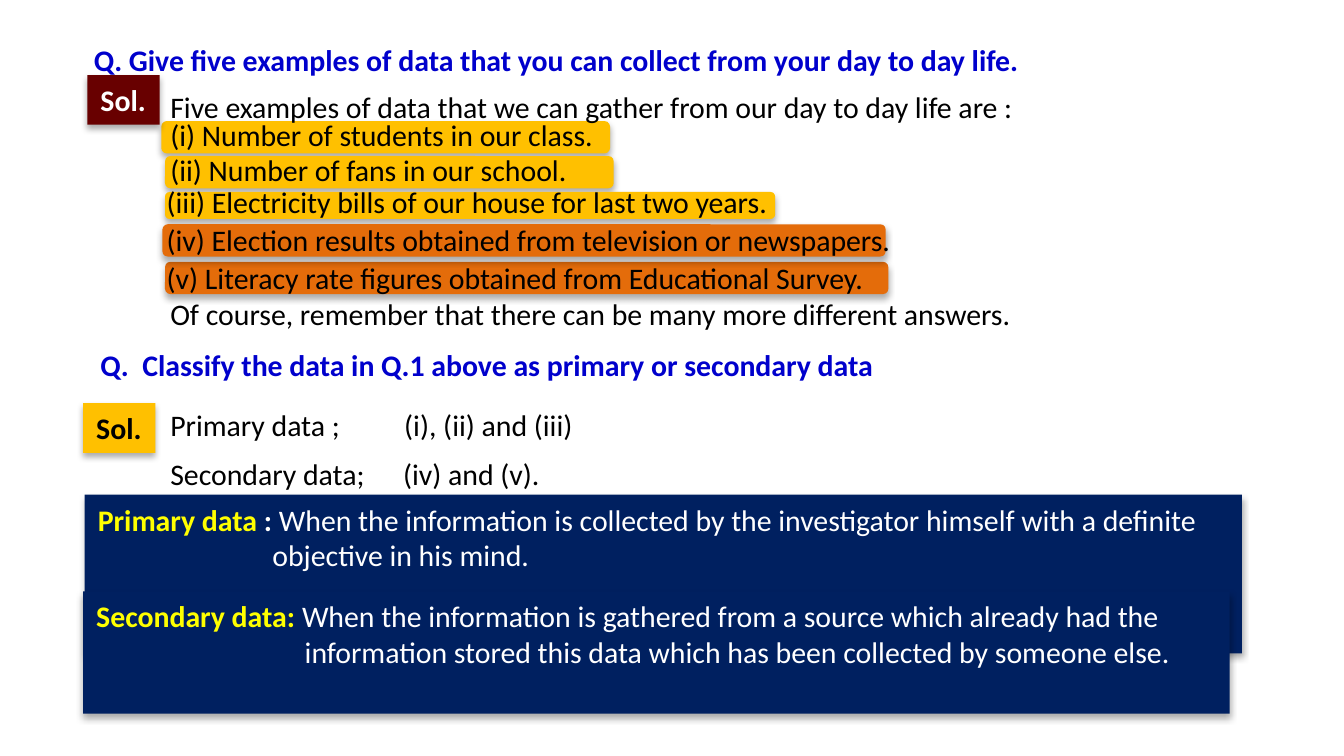
import lxml.etree
import pptx
import pptx.dml.color
import pptx.enum.shapes
import pptx.enum.text
import pptx.oxml
import pptx.oxml.ns
import pptx.util

Cm = pptx.util.Cm
RGBColor = pptx.dml.color.RGBColor
MSO_SHAPE = pptx.enum.shapes.MSO_SHAPE

BLACK = RGBColor(0x00, 0x00, 0x00)
WHITE = RGBColor(0xFF, 0xFF, 0xFF)
BLUE = RGBColor(0x00, 0x00, 0xCC)
MAROON = RGBColor(0x68, 0x00, 0x00)
AMBER = RGBColor(0xFF, 0xC0, 0x00)
ORANGE = RGBColor(0xE4, 0x6C, 0x0A)
NAVY = RGBColor(0x00, 0x20, 0x60)
YELLOW = RGBColor(0xFF, 0xFF, 0x00)

LINE_HEIGHT = 0.94
SHADOW = (
    f'<a:effectLst {pptx.oxml.ns.nsdecls("a")}>'
    '<a:outerShdw blurRad="44450" dist="27940" dir="5400000" algn="ctr" rotWithShape="0">'
    '<a:srgbClr val="000000"><a:alpha val="32000"/></a:srgbClr>'
    '</a:outerShdw></a:effectLst>'
)


def add_panel(kind, left, top, width, height, color):
    shape = slide.shapes.add_shape(kind, Cm(left), Cm(top), Cm(width), Cm(height))
    shape.fill.solid()
    shape.fill.fore_color.rgb = color
    shape.line.fill.background()
    shape._element.spPr.append(pptx.oxml.parse_xml(SHADOW))
    return shape


def write_lines(shape, lines, wrap=True):
    """Fill a shape; each line is a list of (text, color, bold) runs."""
    frame = shape.text_frame
    frame.word_wrap = wrap
    frame.auto_size = pptx.enum.text.MSO_AUTO_SIZE.NONE
    frame.vertical_anchor = pptx.enum.text.MSO_ANCHOR.TOP
    for index, runs in enumerate(lines):
        paragraph = frame.add_paragraph() if index else frame.paragraphs[0]
        paragraph.alignment = pptx.enum.text.PP_ALIGN.LEFT
        for text, color, bold in runs:
            run = paragraph.add_run()
            run.text = text
            run.font.name = "Calibri"
            run.font.size = pptx.util.Pt(16)
            run.font.bold = bold
            run.font.color.rgb = color


presentation = pptx.Presentation()
presentation.slide_width = Cm(25.4)
presentation.slide_height = Cm(14.29)
slide = presentation.slides.add_slide(presentation.slide_layouts[5])

# First question as the title
title = slide.shapes.title
title.left, title.top = Cm(1.52), Cm(0.66)
title.width, title.height = Cm(23.47), Cm(LINE_HEIGHT)
question = "Q. Give five examples of data that you can collect from your day to day life."
write_lines(title, [[(question, BLUE, True)]])

# Highlight bars behind the five examples
for left, top, width, height, color in [
    (3.05, 2.29, 8.48, 0.61, AMBER),
    (3.12, 2.95, 8.48, 0.61, AMBER),
    (3.12, 3.63, 11.53, 0.51, AMBER),
    (3.12, 4.95, 13.67, 0.61, ORANGE),
    (3.07, 4.24, 13.67, 0.61, ORANGE),
]:
    add_panel(MSO_SHAPE.ROUNDED_RECTANGLE, left, top, width, height, color)

# Solution labels
for left, top, fill, color in [(1.65, 1.42, MAROON, WHITE), (1.57, 7.62, AMBER, BLACK)]:
    label = add_panel(MSO_SHAPE.RECTANGLE, left, top, 1.37, LINE_HEIGHT, fill)
    write_lines(label, [[("Sol.", color, True)]], wrap=False)

# Answers and the second question
for text, left, top, width, color in [
    ("Five examples of data that we can gather from our day to day life are :", 2.97, 1.55, 22.2, BLACK),
    ("(i) Number of students in our class.", 2.97, 2.08, 8.56, BLACK),
    ("(ii) Number of fans in our school.", 2.97, 2.74, 8.56, BLACK),
    ("(iii) Electricity bills of our house for last two years.", 2.9, 3.35, 13.08, BLACK),
    ("(iv) Election results obtained from television or newspapers.", 2.9, 4.06, 16.23, BLACK),
    ("(v) Literacy rate figures obtained from Educational Survey.", 2.9, 4.78, 16.23, BLACK),
    ("Of course, remember that there can be many more different answers.", 2.97, 5.46, 19.05, BLACK),
    ("Q.  Classify the data in Q.1 above as primary or secondary data", 1.65, 6.43, 18.03, BLUE),
    ("Primary data ;", 2.97, 7.57, 4.39, BLACK),
    ("(i), (ii) and (iii)", 7.39, 7.57, 4.39, BLACK),
    ("Secondary data;", 2.97, 8.48, 4.39, BLACK),
    ("(iv) and (v).", 7.37, 8.48, 4.39, BLACK),
]:
    textbox = slide.shapes.add_textbox(Cm(left), Cm(top), Cm(width), Cm(LINE_HEIGHT))
    write_lines(textbox, [[(text, color, color == BLUE)]])

# Definitions, with the second line indented under the first
for left, top, width, height, indent, first_line, second_line in [
    (1.6, 9.35, 21.87, 3.0, 3.3,
     [("Primary data ", YELLOW, True), (": ", WHITE, True),
      ("When the information is collected by the investigator himself with a definite", WHITE, False)],
     "objective in his mind."),
    (1.57, 11.18, 21.67, 2.31, 3.94,
     [("Secondary data: ", YELLOW, True),
      ("When the information is gathered from a source which already had the", WHITE, False)],
     "information stored this data which has been collected by someone else."),
]:
    panel = add_panel(MSO_SHAPE.RECTANGLE, left, top, width, height, NAVY)
    write_lines(panel, [first_line, [(second_line, WHITE, False)]])
    properties = panel.text_frame.paragraphs[1]._p.get_or_add_pPr()
    properties.set("marL", str(Cm(indent)))

presentation.save("out.pptx")
